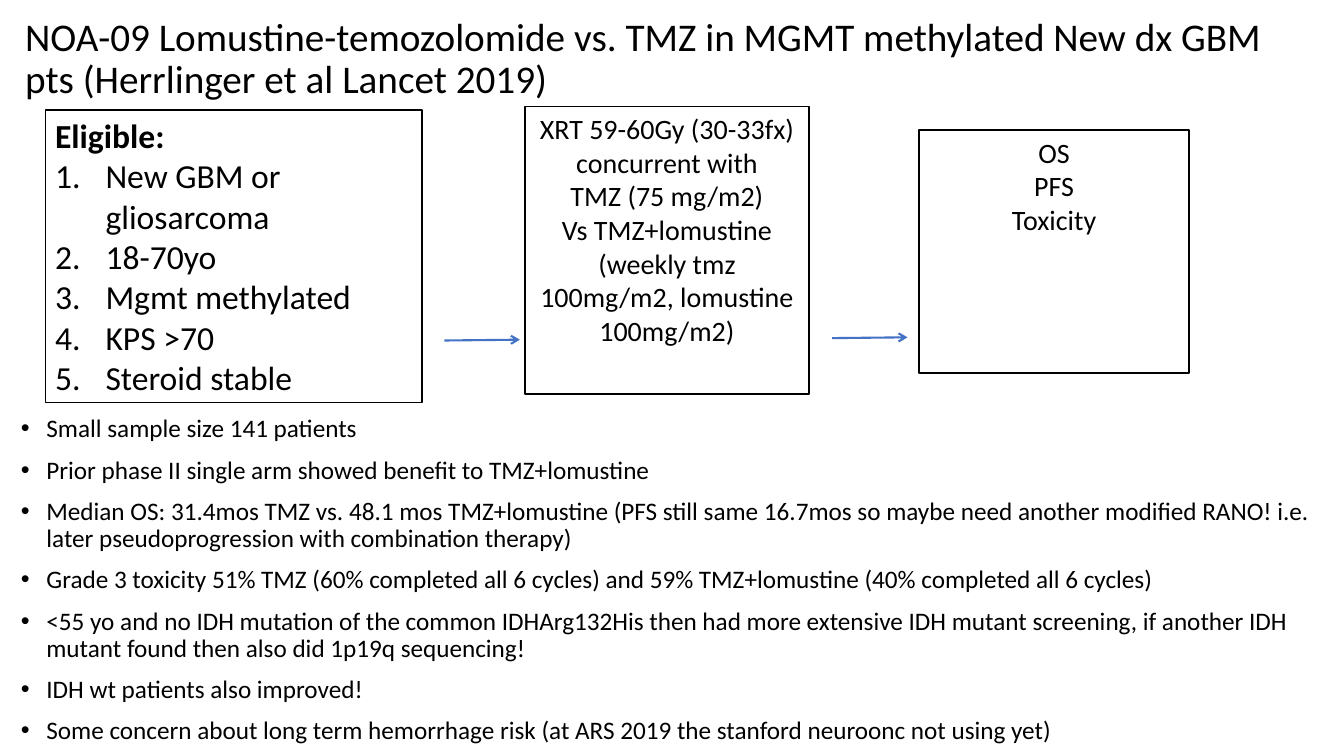
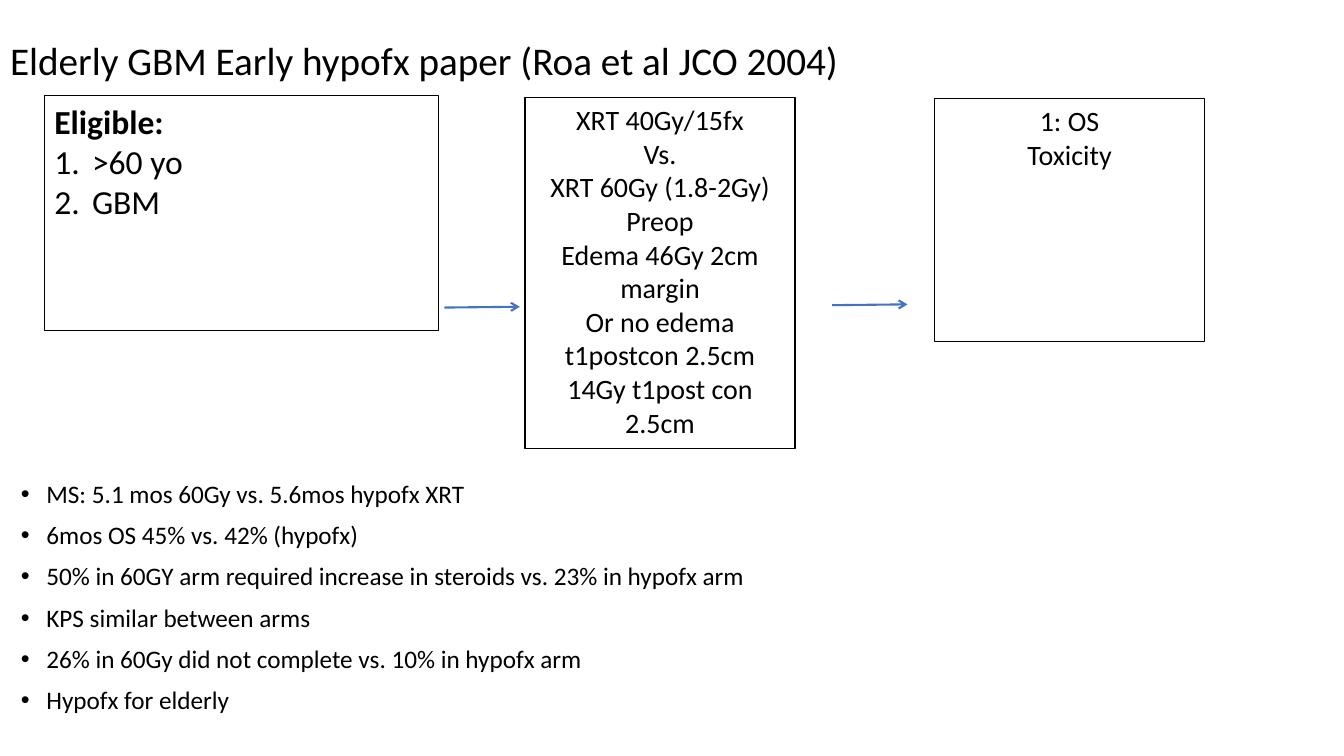
from dataclasses import dataclass

from lxml.etree import SubElement
from pptx import Presentation
from pptx.dml.color import RGBColor
from pptx.enum.shapes import MSO_CONNECTOR, MSO_SHAPE
from pptx.enum.text import MSO_ANCHOR, MSO_AUTO_SIZE, PP_ALIGN
from pptx.oxml.ns import qn
from pptx.util import Cm, Pt


@dataclass(frozen=True)
class Theme:
    font: str = "Calibri"
    text: RGBColor = RGBColor(0x00, 0x00, 0x00)
    arrow: RGBColor = RGBColor(0x44, 0x72, 0xC4)
    title_size: Pt = Pt(28)
    eligible_size: Pt = Pt(24)
    box_size: Pt = Pt(20)
    bullet_size: Pt = Pt(18)
    bullet_gap: Pt = Pt(10)
    tight: float = 0.9
    box_line: Pt = Pt(1)
    arrow_line: Pt = Pt(1.5)


theme = Theme()


def add_para(frame, text, size, align=PP_ALIGN.LEFT, bold=False):
    first = frame.paragraphs[0]
    para = frame.add_paragraph() if first.runs else first
    para.alignment = align
    span = para.add_run()
    span.text = text
    span.font.name = theme.font
    span.font.size = size
    span.font.bold = bold
    span.font.color.rgb = theme.text
    return para


def add_marker(para, indent, tag, **settings):
    properties = para._p.get_or_add_pPr()
    properties.set("marL", str(Cm(indent)))
    properties.set("indent", str(-Cm(indent)))
    SubElement(properties, qn("a:buFont"), typeface="Arial" if tag == "a:buChar" else "+mj-lt")
    SubElement(properties, qn(tag), **settings)


trials = [
    {
        "title": "NOA-09 Lomustine-temozolomide vs. TMZ in MGMT methylated New dx GBM pts (Herrlinger et al Lancet 2019)",
        "title_at": (0.38, -0.64, 32.46, 4.29),
        "eligible": ["New GBM or gliosarcoma", "18-70yo", "Mgmt methylated", "KPS >70", "Steroid stable"],
        "eligible_at": (1.14, 2.77, 9.5, 7.37),
        "number_indent": 1.27,
        "treatment": [
            "XRT 59-60Gy (30-33fx) concurrent with",
            "TMZ (75 mg/m2)",
            "Vs TMZ+lomustine (weekly tmz 100mg/m2, lomustine 100mg/m2)",
        ],
        "treatment_at": (13.23, 2.69, 7.16, 7.24),
        "endpoints": ["OS", "PFS", "Toxicity"],
        "endpoints_at": (23.16, 3.28, 6.81, 6.12),
        "arrow_tops": (8.58, 8.52),
        "findings": [
            "Small sample size 141 patients",
            "Prior phase II single arm showed benefit to TMZ+lomustine",
            "Median OS: 31.4mos TMZ vs. 48.1 mos TMZ+lomustine (PFS still same 16.7mos so maybe need another modified RANO! i.e. later pseudoprogression with combination therapy)",
            "Grade 3 toxicity 51% TMZ (60% completed all 6 cycles) and 59% TMZ+lomustine (40% completed all 6 cycles)",
            "<55 yo and no IDH mutation of the common IDHArg132His then had more extensive IDH mutant screening, if another IDH mutant found then also did 1p19q sequencing!",
            "IDH wt patients also improved!",
            "Some concern about long term hemorrhage risk (at ARS 2019 the stanford neuroonc not using yet)",
        ],
        "findings_at": (0.28, 10.36, 33.58, 8.69),
    },
    {
        "title": "Elderly GBM Early hypofx paper (Roa et al JCO 2004)",
        "title_at": (0, -0.56, 33.87, 4.29),
        "eligible": [">60 yo", "GBM"],
        "eligible_at": (1.12, 2.41, 9.93, 5.92),
        "number_indent": 0.95,
        "treatment": [
            "XRT 40Gy/15fx",
            "Vs.",
            "XRT 60Gy (1.8-2Gy)",
            "Preop",
            "Edema 46Gy 2cm margin",
            "Or no edema t1postcon 2.5cm",
            "14Gy t1post con 2.5cm",
        ],
        "treatment_at": (13.23, 2.46, 6.81, 8.84),
        "endpoints": ["1: OS", "Toxicity"],
        "endpoints_at": (23.55, 2.49, 6.81, 6.12),
        "arrow_tops": (7.75, 7.69),
        "findings": [
            "MS: 5.1 mos 60Gy vs. 5.6mos hypofx XRT",
            "6mos OS 45% vs. 42% (hypofx)",
            "50% in 60GY arm required increase in steroids vs. 23% in hypofx arm",
            "KPS similar between arms",
            "26% in 60Gy did not complete vs. 10% in hypofx arm",
            "Hypofx for elderly",
        ],
        "findings_at": (0.28, 12.01, 33.58, 6.22),
    },
]

arrow_lefts = (11.2, 20.97)
arrow_length = 1.9
arrow_rise = 0.02

deck = Presentation()
deck.slide_width = Cm(33.87)
deck.slide_height = Cm(19.05)
title_only = deck.slide_layouts[5]

for trial in trials:
    page = deck.slides.add_slide(title_only)

    title = page.shapes.title
    title.left, title.top, title.width, title.height = map(Cm, trial["title_at"])
    title.text_frame.word_wrap = True
    title.text_frame.auto_size = MSO_AUTO_SIZE.NONE
    title.text_frame.vertical_anchor = MSO_ANCHOR.MIDDLE
    para = add_para(title.text_frame, trial["title"], theme.title_size)
    para.line_spacing = theme.tight

    findings = page.shapes.add_textbox(*map(Cm, trial["findings_at"]))
    findings.text_frame.word_wrap = True
    for index, finding in enumerate(trial["findings"]):
        para = add_para(findings.text_frame, finding, theme.bullet_size)
        add_marker(para, 0.64, "a:buChar", char="•")
        para.line_spacing = theme.tight
        para.space_before = theme.bullet_gap if index else Pt(0)

    frames = {}
    for name in ("eligible", "treatment", "endpoints"):
        box = page.shapes.add_shape(MSO_SHAPE.RECTANGLE, *map(Cm, trial[f"{name}_at"]))
        box.shadow.inherit = False
        box.fill.background()
        box.line.color.rgb = theme.text
        box.line.width = theme.box_line
        box.text_frame.word_wrap = True
        box.text_frame.vertical_anchor = MSO_ANCHOR.TOP
        frames[name] = box.text_frame

    add_para(frames["eligible"], "Eligible:", theme.eligible_size, bold=True)
    for criterion in trial["eligible"]:
        para = add_para(frames["eligible"], criterion, theme.eligible_size)
        add_marker(para, trial["number_indent"], "a:buAutoNum", type="arabicPeriod")

    for name in ("treatment", "endpoints"):
        for entry in trial[name]:
            add_para(frames[name], entry, theme.box_size, PP_ALIGN.CENTER)

    for left, top in zip(arrow_lefts, trial["arrow_tops"]):
        arrow = page.shapes.add_connector(
            MSO_CONNECTOR.STRAIGHT, Cm(left), Cm(top), Cm(left + arrow_length), Cm(top - arrow_rise)
        )
        arrow.line.color.rgb = theme.arrow
        arrow.line.width = theme.arrow_line
        SubElement(arrow.line._get_or_add_ln(), qn("a:tailEnd"), type="arrow")
        SubElement(arrow._element.spPr, qn("a:effectLst"))

deck.save("out.pptx")
